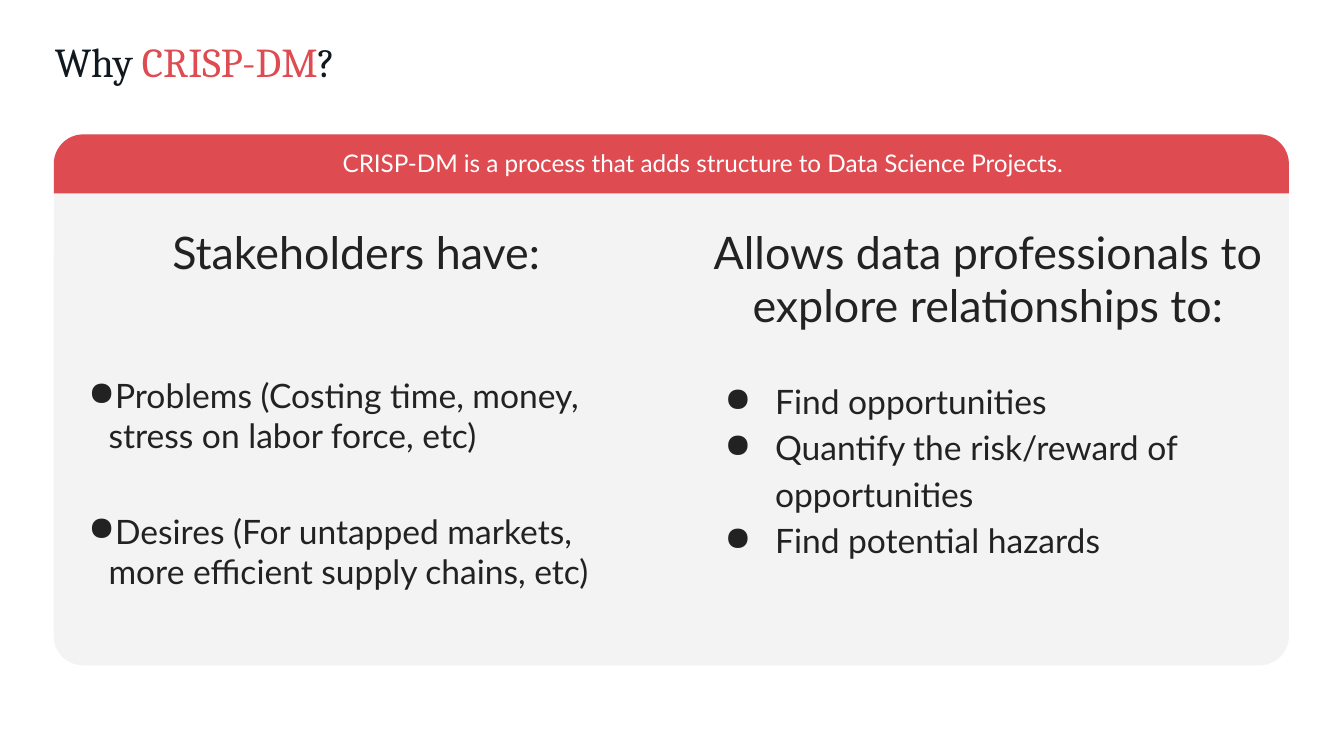
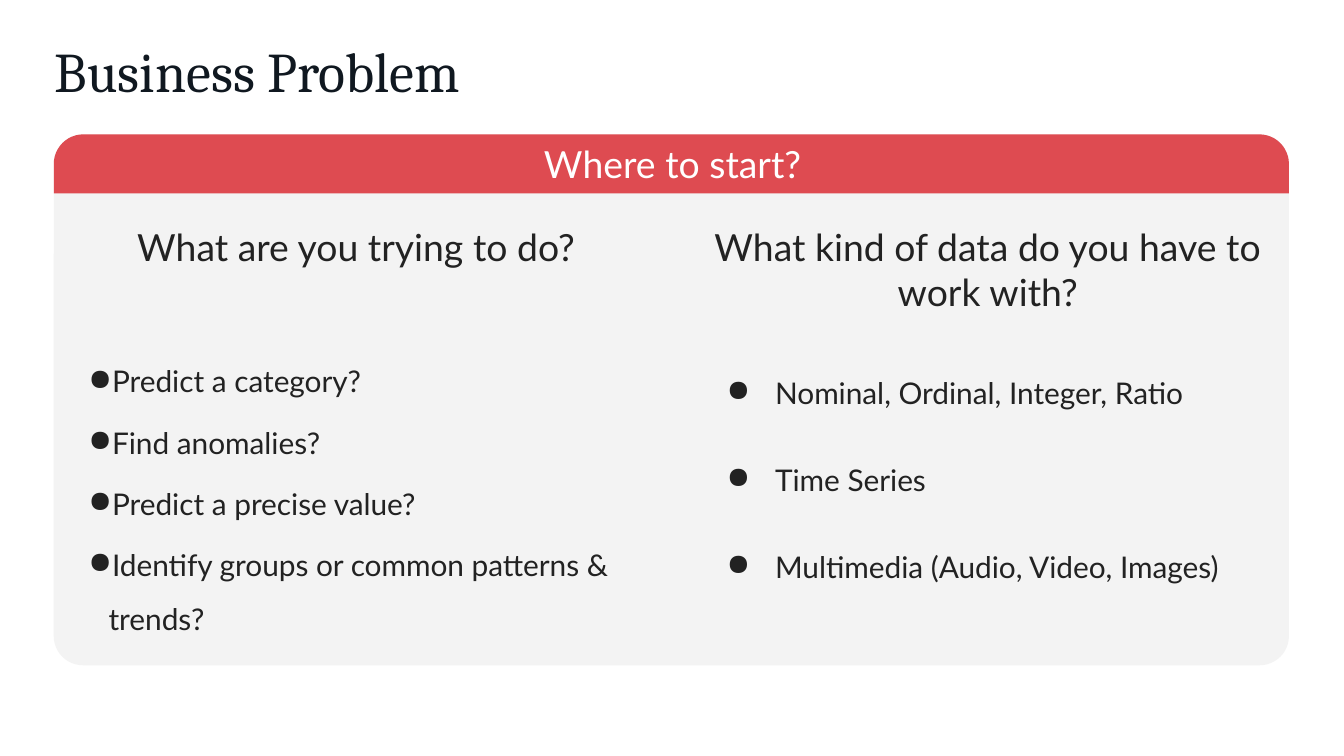
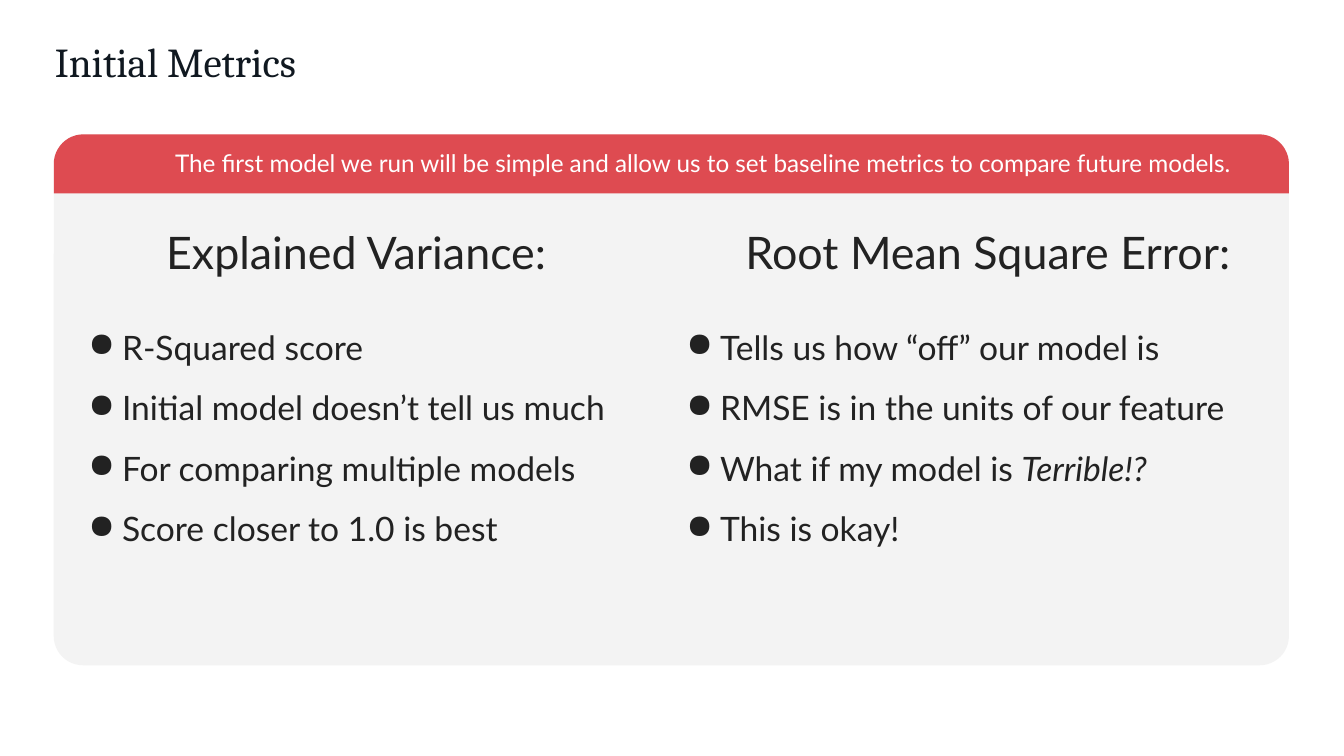
from pptx import Presentation
from pptx.dml.color import RGBColor
from pptx.enum.shapes import MSO_SHAPE as Shape
from pptx.enum.text import MSO_ANCHOR as Anchor, MSO_AUTO_SIZE as AutoSize, PP_ALIGN as Align
from pptx.oxml.ns import qn
from pptx.util import Pt
from lxml.etree import SubElement

RED = RGBColor(0xDE, 0x4B, 0x51)
GRAY = RGBColor(0xF3, 0xF3, 0xF3)
NAVY = RGBColor(0x10, 0x18, 0x20)
INK = RGBColor(0x22, 0x22, 0x22)
WHITE = RGBColor(0xFF, 0xFF, 0xFF)
TITLE_FONT = "Cambria"
BODY_FONT = "Lato"

PANEL_LEFT, PANEL_TOP, PANEL_WIDTH = 28.8, 72, 661.7
PANEL_HEIGHT, BAND_HEIGHT = 284.4, 31.7
COLUMN_WIDTH, HEADING_TOP = 324, 113
LEFT_COLUMN, RIGHT_COLUMN = PANEL_LEFT, 367.2
LIST_WIDTH = 312.5
LEFT_LIST, RIGHT_LIST = 40.3, 372.2
INSET = 7.2
LINE_FACTOR = 1.2


def add_filled(page, kind, height, color, adjustment):
    shape = page.shapes.add_shape(
        kind, Pt(PANEL_LEFT), Pt(PANEL_TOP), Pt(PANEL_WIDTH), Pt(height))
    shape.adjustments[0] = adjustment
    shape.fill.solid()
    shape.fill.fore_color.rgb = color
    shape.line.fill.background()
    shape.shadow.inherit = False


def add_frame(page, left, top, width, height, grow=False):
    box = page.shapes.add_textbox(Pt(left), Pt(top), Pt(width), Pt(height))
    frame = box.text_frame
    frame.word_wrap = True
    frame.margin_left = frame.margin_right = Pt(INSET)
    frame.margin_top = frame.margin_bottom = Pt(INSET)
    frame.auto_size = AutoSize.SHAPE_TO_FIT_TEXT if grow else AutoSize.NONE
    return frame


def style(para, size, color, font=BODY_FONT, align=Align.LEFT):
    para.alignment = align
    para.font.size = Pt(size)
    para.font.name = font
    para.font.color.rgb = color


def add_title(page, size, *parts):
    para = add_frame(page, 22.3, 12.2, 640, 45.4).paragraphs[0]
    style(para, size, NAVY, TITLE_FONT)
    for text, color in parts:
        span = para.add_run()
        span.text = text
        span.font.color.rgb = color


def add_panel(page):
    add_filled(page, Shape.ROUNDED_RECTANGLE, PANEL_HEIGHT, GRAY, 0.055)
    add_filled(page, Shape.ROUND_2_SAME_RECTANGLE, BAND_HEIGHT, RED, 0.5)


def add_banner(page, text, size=13, left=67, width=618.5):
    frame = add_frame(page, left, 72.7, width, 29.5)
    frame.vertical_anchor = Anchor.MIDDLE
    para = frame.paragraphs[0]
    para.text = text
    style(para, size, WHITE, align=Align.CENTER)


def add_heading(page, left, text, size=24, lines=1):
    height = 2 * INSET + lines * size * LINE_FACTOR
    para = add_frame(page, left, HEADING_TOP, COLUMN_WIDTH, height, grow=True).paragraphs[0]
    para.text = text
    style(para, size, INK, align=Align.CENTER)


def set_bullet(para, margin, hanging):
    properties = para._p.get_or_add_pPr()
    properties.set("marL", str(Pt(margin)))
    properties.set("indent", str(-Pt(hanging)))
    color = SubElement(properties, qn("a:buClr"))
    SubElement(color, qn("a:srgbClr")).set("val", str(INK))
    SubElement(properties, qn("a:buChar")).set("char", "●")


def add_list(page, left, top, height, items, size=18, width=LIST_WIDTH,
             margin=18, hanging=18, spacing=1.0, gap=0):
    frame = add_frame(page, left, top, width, height, grow=True)
    for index, item in enumerate(items):
        para = frame.add_paragraph() if index else frame.paragraphs[0]
        text, emphasis = item if isinstance(item, tuple) else (item, "")
        para.add_run().text = text
        if emphasis:
            span = para.add_run()
            span.text = emphasis
            span.font.italic = True
        para.line_spacing = spacing
        para.space_before = Pt(gap if index else 0)
        set_bullet(para, margin, hanging)
        style(para, size, INK)


def build_why(page):
    add_panel(page)
    add_title(page, 22, ("Why", NAVY), (" CRISP-DM", RED), ("?", NAVY))
    add_banner(page, "CRISP-DM is a process that adds structure to Data Science Projects.")
    add_heading(page, LEFT_COLUMN, "Stakeholders have:")
    add_list(page, LEFT_LIST, 193.7, 157.7, [
        "Problems (Costing time, money, stress on labor force, etc)",
        "Desires (For untapped markets, more efficient supply chains, etc)",
    ], margin=10.8, hanging=19.4, gap=29.6)
    add_heading(page, RIGHT_COLUMN, "Allows data professionals to explore relationships to:", lines=2)
    add_list(page, RIGHT_LIST, 193.7, 111.6, [
        "Find opportunities",
        "Quantify the risk/reward of opportunities",
        "Find potential hazards",
    ], margin=36, hanging=27, spacing=1.15)


def build_problem(page):
    add_panel(page)
    add_title(page, 30, ("Business Problem", NAVY))
    add_heading(page, LEFT_COLUMN, "What are you trying to do?", size=20)
    add_list(page, LEFT_LIST, 177.8, 162.7, [
        "Predict a category?",
        "Find anomalies?",
        "Predict a precise value?",
        "Identify groups or common patterns & trends?",
    ], size=16, margin=10.8, hanging=18.7, spacing=1.5, gap=4)
    add_heading(page, RIGHT_COLUMN, "What kind of data do you have to work with?", size=20, lines=2)
    add_list(page, RIGHT_LIST, 193.7, 127.4, [
        "Nominal, Ordinal, Integer, Ratio",
        "Time Series",
        "Multimedia (Audio, Video, Images)",
    ], size=16, margin=36, hanging=26, gap=27.2)
    add_banner(page, "Where to start?", size=20, left=29.5, width=PANEL_WIDTH)


def build_metrics(page):
    add_panel(page)
    add_title(page, 22, ("Initial Metrics", NAVY))
    add_banner(page, "The first model we run will be simple and allow us to set "
                     "baseline metrics to compare future models.")
    add_heading(page, LEFT_COLUMN, "Explained Variance:")
    add_list(page, LEFT_LIST, 157, 134.6, [
        "R-Squared score",
        "Initial model doesn’t tell us much",
        "For comparing multiple models",
        "Score closer to 1.0 is best",
    ], spacing=1.5)
    add_heading(page, RIGHT_COLUMN, "Root Mean Square Error:")
    add_list(page, 360.7, 157, 134.6, [
        "Tells us how “off” our model is",
        "RMSE is in the units of our feature",
        ("What if my model is ", "Terrible!?"),
        "This is okay!",
    ], width=COLUMN_WIDTH, spacing=1.5)


def main():
    deck = Presentation()
    deck.slide_width = Pt(720)
    deck.slide_height = Pt(405)
    for build in (build_why, build_problem, build_metrics):
        build(deck.slides.add_slide(deck.slide_layouts[6]))
    deck.save("out.pptx")


if __name__ == "__main__":
    main()
